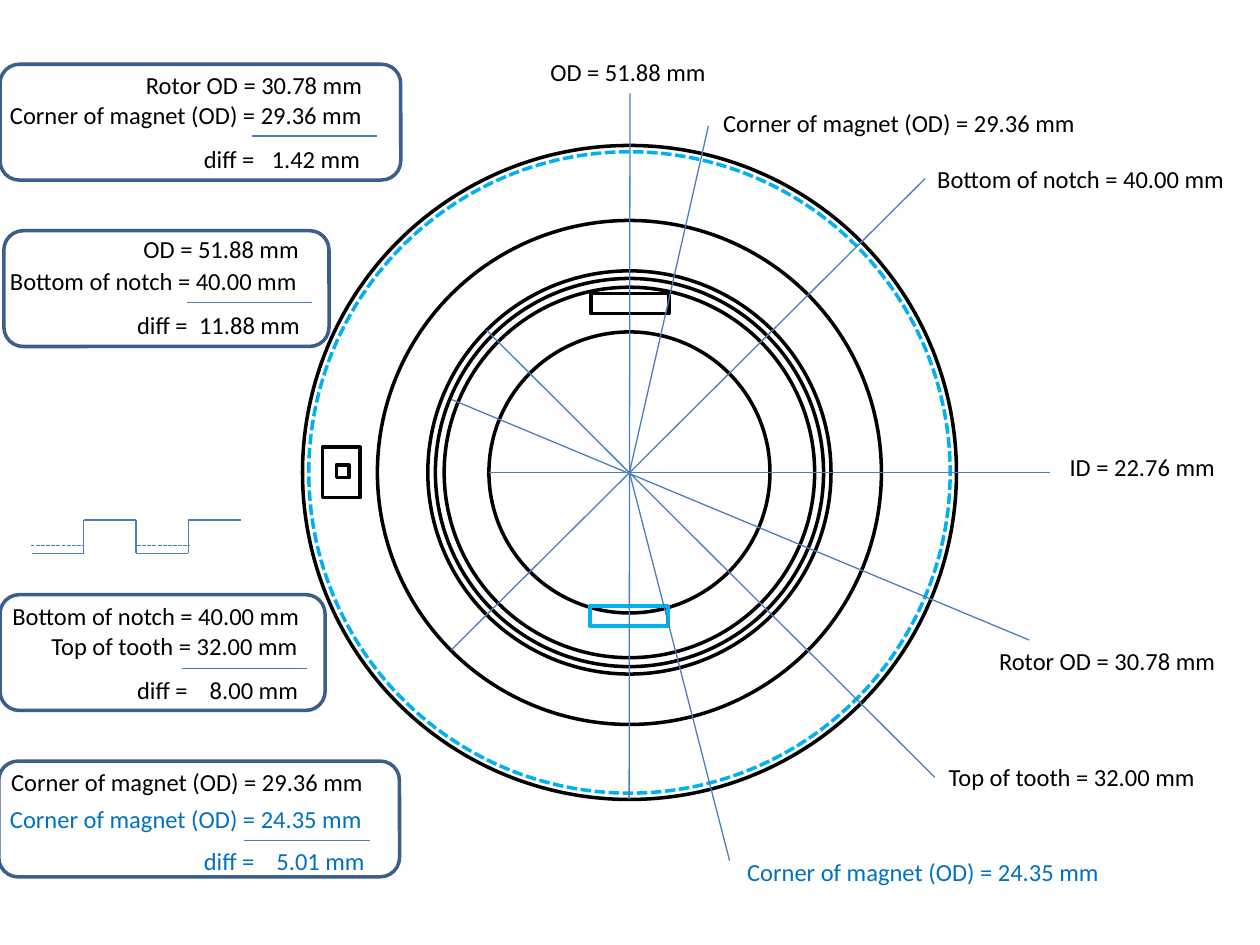
from dataclasses import dataclass
from typing import Optional

from lxml.etree import SubElement
from pptx import Presentation
from pptx.dml.color import RGBColor
from pptx.enum.dml import MSO_LINE_DASH_STYLE as Dash
from pptx.enum.shapes import MSO_CONNECTOR as Connector, MSO_SHAPE as Shape
from pptx.oxml.ns import qn
from pptx.util import Pt

COLORS = {
    "black": "000000",
    "cyan": "00B0F0",
    "blue": "0070C0",
    "leader": "4B7EBC",
    "panel": "3A5F8C",
}
CENTER_X, CENTER_Y = 359.7, 270
LABEL_HEIGHT = 24.5
PANEL_HEIGHT = 66.2

# Each measured quantity: wording and label width
QUANTITIES = {
    "od": ("OD = 51.88 mm", 103.7),
    "id": ("ID = 22.76 mm", 98),
    "notch": ("Bottom of notch = 40.00 mm", 180),
    "tooth": ("Top of tooth = 32.00 mm", 156.2),
    "rotor": ("Rotor OD = 30.78 mm", 139),
    "outer corner": ("Corner of magnet (OD) = 29.36 mm", 216.7),
    "inner corner": ("Corner of magnet (OD) = 24.35 mm", 216.7),
}


@dataclass
class Row:
    quantity: str
    x: float
    y: float
    color: str = "black"


@dataclass
class Leader:
    start: tuple[float, float]
    end: tuple[float, float]
    label: Row


@dataclass
class Panel:
    x: float
    y: float
    width: float
    rows: tuple[Row, Row]
    rule: tuple[float, float]
    difference: str
    diff_at: tuple[float, float]
    tab: float
    color: str = "black"


CENTER = (CENTER_X, CENTER_Y)
LEADERS = [
    Leader((359.5, 456.5), (360, 53.3), Row("od", 307.4, 28.8)),
    Leader((257.8, 371.5), (528.5, 102.2), Row("notch", 528.5, 90)),
    Leader((277.9, 188.6), (534.2, 444.2), Row("tooth", 535, 432)),
    Leader((279.4, 270), (599.8, 270), Row("id", 604.1, 254.9)),
    Leader(CENTER, (404.8, 72), Row("outer corner", 406.1, 58.3)),
    Leader((257.8, 228.2), (588.2, 365.8), Row("rotor", 563.8, 365.8)),
    Leader(CENTER, (416.9, 491.8), Row("inner corner", 419.8, 486, "blue")),
]
PANELS = [
    Panel(0, 36.7, 229, (Row("rotor", 76.3, 36.7), Row("outer corner", -1.4, 53.8)),
          (144, 77.8), "1.42 mm", (109.4, 78.5), 38.8),
    Panel(2.2, 131.8, 185.8, (Row("od", 74.9, 130), Row("notch", -1.4, 148.3)),
          (107, 172.8), "11.88 mm", (71.3, 173.5), 35.4),
    Panel(0, 339.8, 185.8, (Row("notch", 0, 339.8), Row("tooth", 22.3, 357.1)),
          (104, 382.1), "8.00 mm", (71.3, 382.3), 41.5),
    Panel(-0.7, 434.9, 229, (Row("outer corner", -0.7, 434.9),
                             Row("inner corner", -1.4, 455.8, "blue")),
          (139.7, 480.2), "5.01 mm", (109.4, 480.2), 41.5, "blue"),
]

prs = Presentation()
prs.slide_width, prs.slide_height = Pt(720), Pt(540)
slide = prs.slides.add_slide(prs.slide_layouts[6])


def rgb(name: str) -> RGBColor:
    return RGBColor.from_string(COLORS[name])


def add_outline(kind: Shape, x: float, y: float, width: float, height: float,
                color: str = "black", dash: Optional[Dash] = None) -> None:
    outline = slide.shapes.add_shape(kind, Pt(x), Pt(y), Pt(width), Pt(height))
    outline.shadow.inherit = False
    outline.fill.background()
    outline.line.color.rgb = rgb(color)
    outline.line.width = Pt(2)
    if dash:
        outline.line.dash_style = dash


def add_circle(diameter: float, color: str = "black",
               dash: Optional[Dash] = None) -> None:
    add_outline(Shape.OVAL, CENTER_X - diameter / 2, CENTER_Y - diameter / 2,
                diameter, diameter, color, dash)


def add_line(start: tuple[float, float], end: tuple[float, float],
             dash: Optional[Dash] = None) -> None:
    line = slide.shapes.add_connector(Connector.STRAIGHT, *map(Pt, start + end))
    SubElement(line._element.spPr, qn("a:effectLst"))
    line.line.color.rgb = rgb("leader")
    line.line.width = Pt(0.75)
    if dash:
        line.line.dash_style = dash


def add_text(text: str, x: float, y: float, width: float, *, color: str = "black",
             size: float = 14, font: str = "Calibri",
             tab: Optional[float] = None) -> None:
    box = slide.shapes.add_textbox(Pt(x), Pt(y), Pt(width), Pt(LABEL_HEIGHT))
    frame = box.text_frame
    frame.word_wrap = True
    frame.margin_right = 0
    paragraph = frame.paragraphs[0]
    if tab:
        stops = SubElement(paragraph._p.get_or_add_pPr(), qn("a:tabLst"))
        SubElement(stops, qn("a:tab"), pos=str(Pt(tab)), algn="l")
    run = paragraph.add_run()
    run.text = text
    run.font.name = font
    run.font.size = Pt(size)
    run.font.color.rgb = rgb(color)


def add_row(row: Row) -> None:
    text, width = QUANTITIES[row.quantity]
    add_text(text, row.x, row.y, width, color=row.color)


def add_panel(panel: Panel) -> None:
    add_outline(Shape.ROUNDED_RECTANGLE, panel.x, panel.y, panel.width,
                PANEL_HEIGHT, "panel")
    for row in panel.rows:
        add_row(row)
    x, y = panel.rule
    add_line((x, y), (x + 71.5, y))
    add_text(f"diff =\t{panel.difference}", *panel.diff_at, 108,
             color=panel.color, tab=panel.tab)


def add_tooth_profile(x: float, low: float, high: float, step: float) -> None:
    levels = [low, high, low, high]
    for i, level in enumerate(levels):
        left = x + i * step
        add_line((left, level), (left + step, level))
        if i:
            add_line((left, high), (left, low))
    for left in (x - 0.5, x + 2 * step + 0.5):
        add_line((left, low - 4.3), (left + step, low - 4.3), Dash.SQUARE_DOT)


# Motor cross-section
for diameter in (160.6, 211.7, 221.8, 230.4, 288, 373.7):
    add_circle(diameter)
add_circle(366.5, "cyan", Dash.SQUARE_DOT)

# Magnets
add_outline(Shape.RECTANGLE, 337.7, 167.8, 44.6, 11.5)
add_outline(Shape.RECTANGLE, 337, 346.3, 44.6, 11.5, "cyan")

# Sensor
add_outline(Shape.RECTANGLE, 184.3, 255.6, 21.6, 28.8)
add_outline(Shape.RECTANGLE, 192.2, 265.7, 7.2, 7.2)

# Dimension leaders with their labels
for leader in LEADERS:
    add_line(leader.start, leader.end)
    add_row(leader.label)

# Difference calculations
for panel in PANELS:
    add_panel(panel)

# Tooth and notch profile
add_tooth_profile(18, 316.1, 297.2, 29.9)

prs.save("out.pptx")
